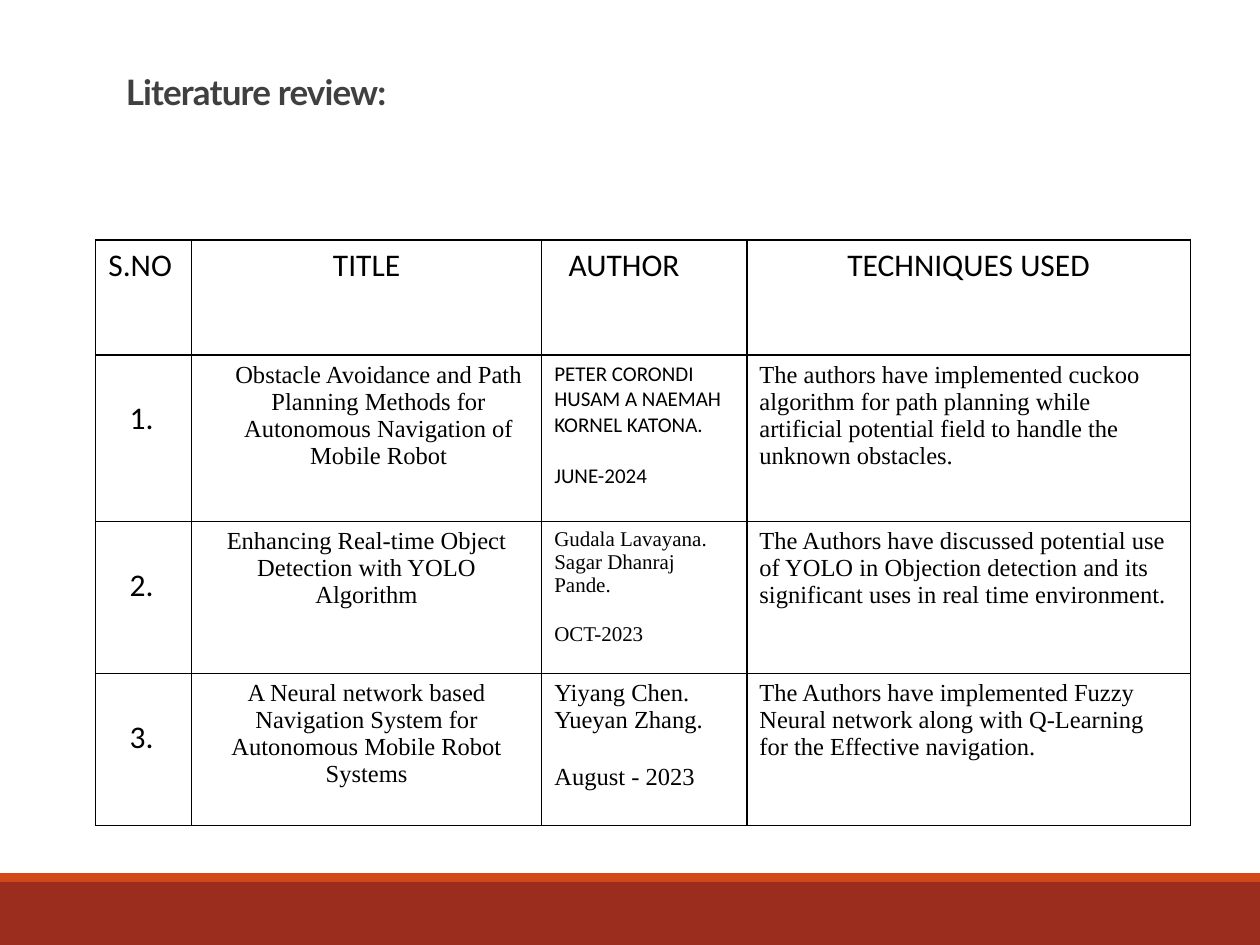
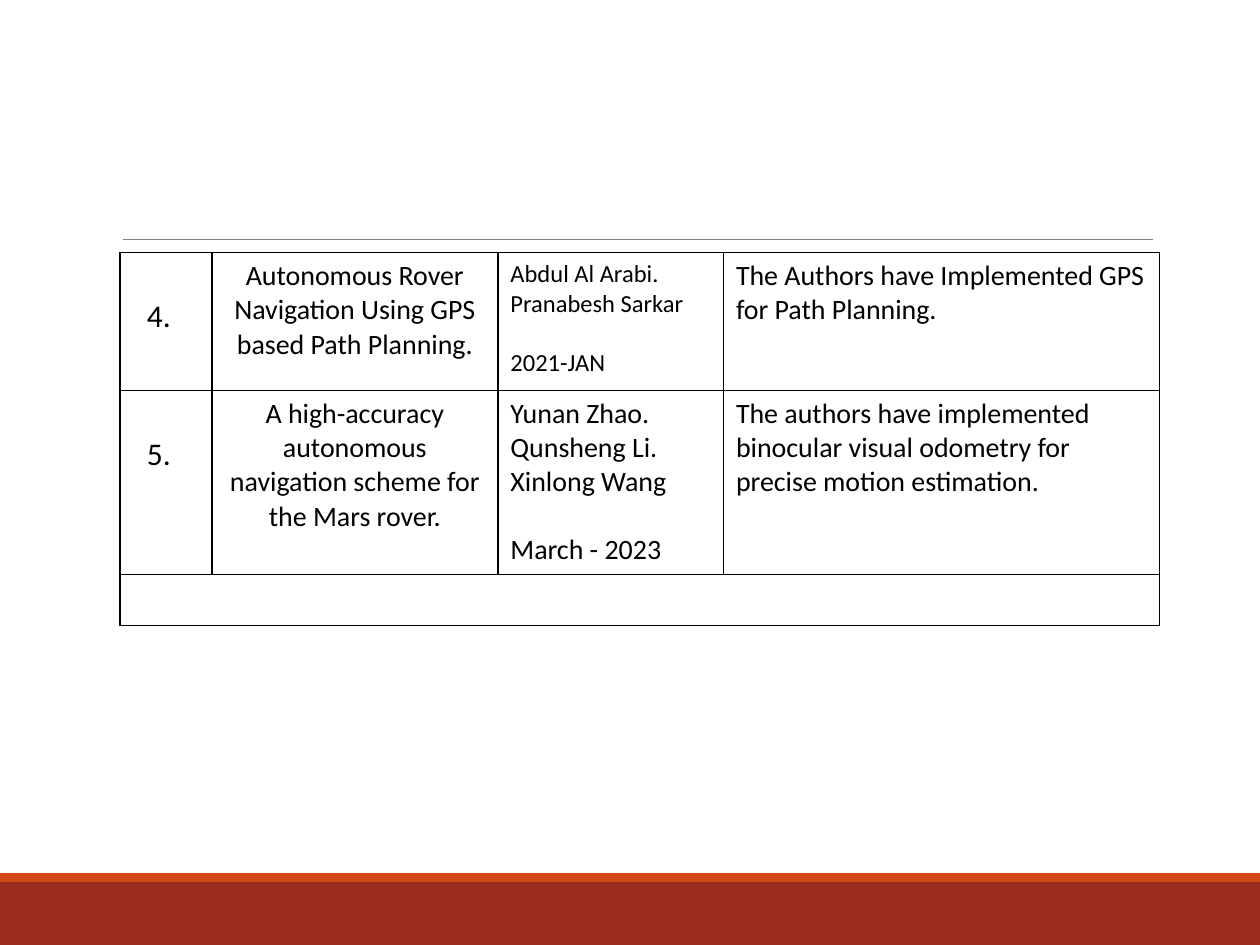
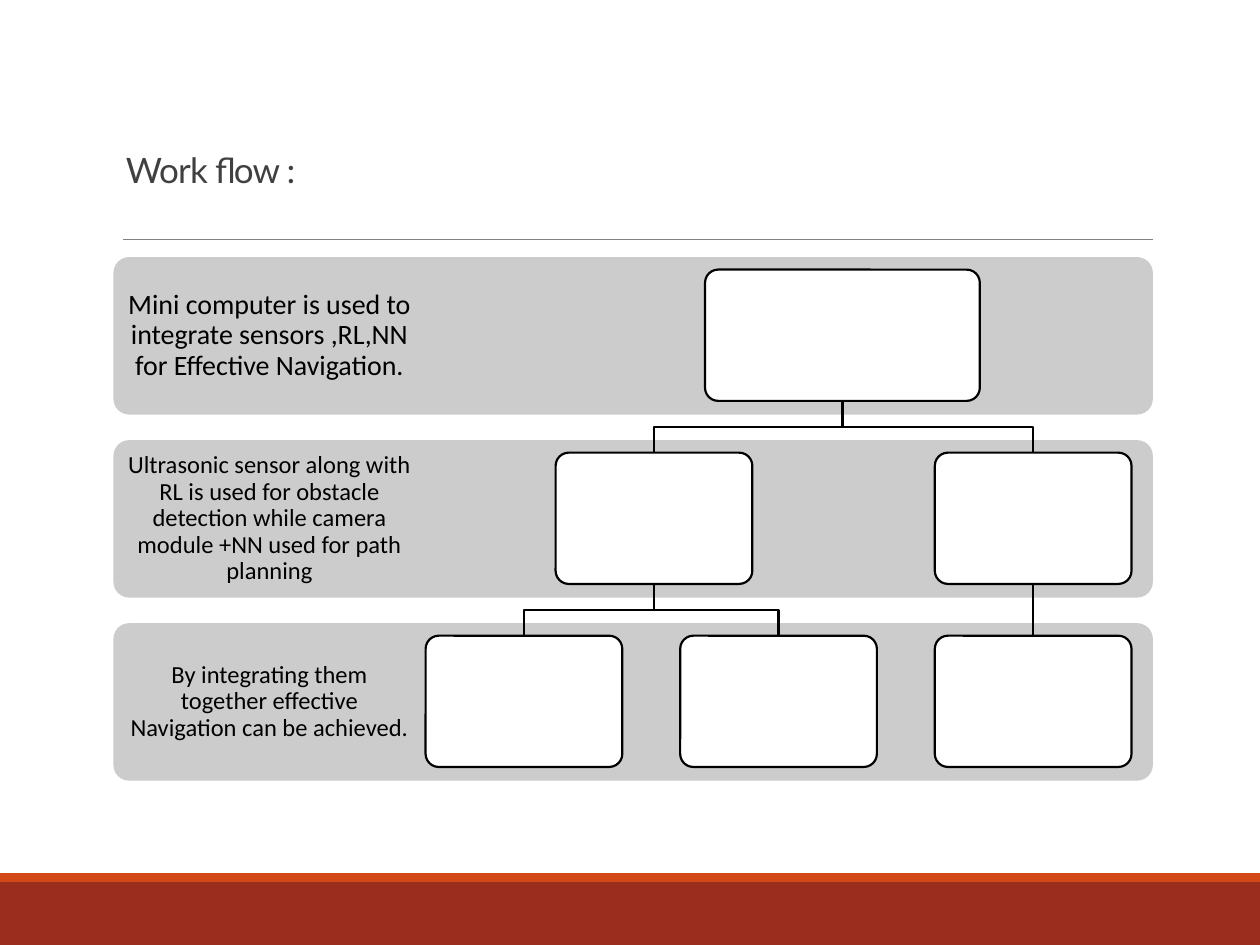
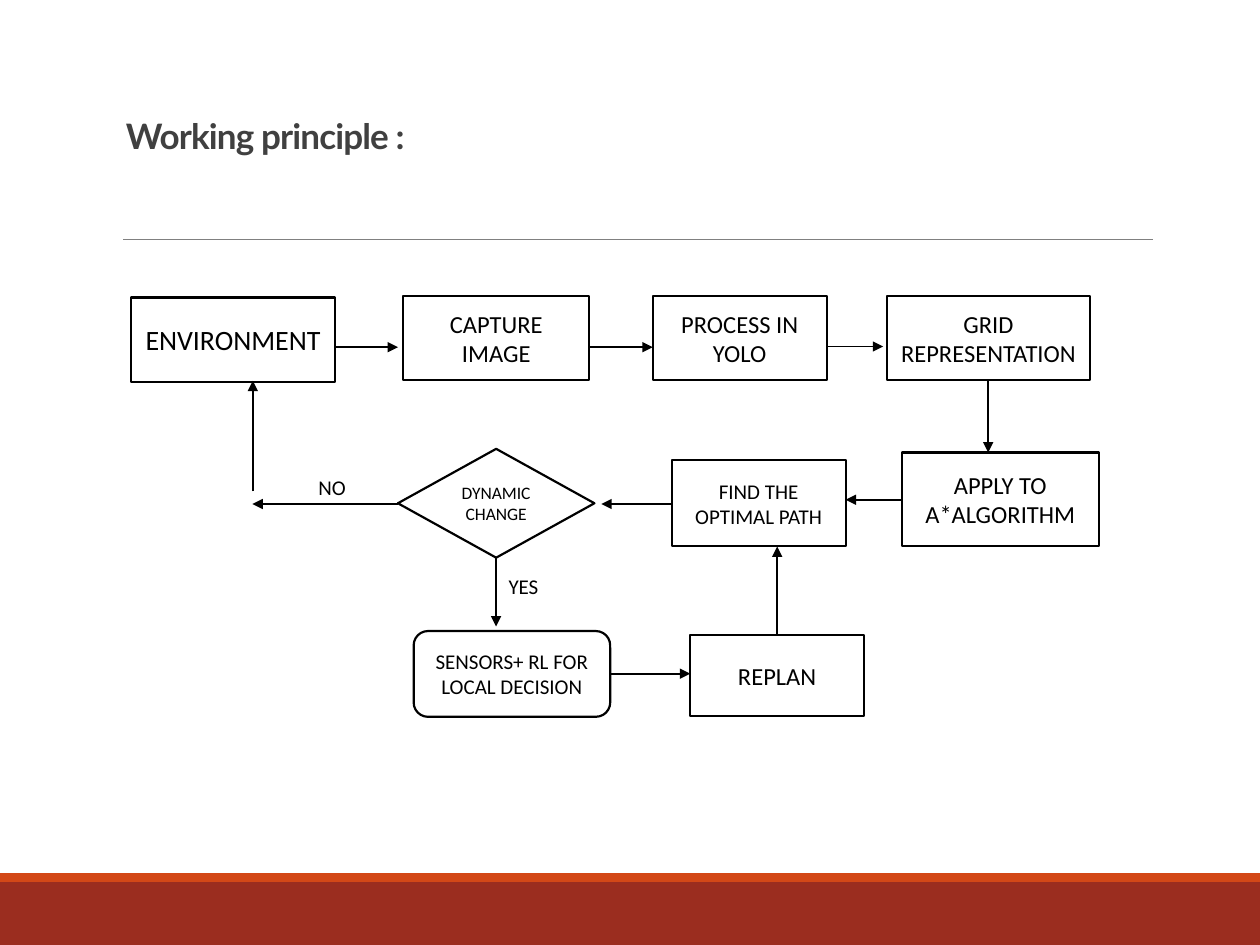
"""Build four slides on autonomous rover navigation: literature, work flow and working principle."""
from dataclasses import dataclass

from lxml import etree
from pptx import Presentation
from pptx.dml.color import RGBColor
from pptx.enum.shapes import MSO_CONNECTOR, MSO_SHAPE
from pptx.enum.text import MSO_ANCHOR, PP_ALIGN
from pptx.oxml.ns import qn
from pptx.table import _Cell
from pptx.util import Pt

LEFT, CENTER = PP_ALIGN.LEFT, PP_ALIGN.CENTER
TOP, MIDDLE, BOTTOM = MSO_ANCHOR.TOP, MSO_ANCHOR.MIDDLE, MSO_ANCHOR.BOTTOM
RECTANGLE, ROUNDED = MSO_SHAPE.RECTANGLE, MSO_SHAPE.ROUNDED_RECTANGLE
PROCESS, DECISION = MSO_SHAPE.FLOWCHART_PROCESS, MSO_SHAPE.FLOWCHART_DECISION
ALTERNATE = MSO_SHAPE.FLOWCHART_ALTERNATE_PROCESS
STRAIGHT = MSO_CONNECTOR.STRAIGHT


@dataclass(frozen=True)
class Theme:
    ink: str = "000000"
    paper: str = "FFFFFF"
    title_ink: str = "404040"
    rule: str = "808080"
    band: str = "9B2D1F"
    accent: str = "D34817"
    lane: str = "CCCCCC"
    body: str = "Calibri"
    heading: str = "Lato"
    serif: str = "Times New Roman"
    title: int = 20
    large: int = 18
    medium: int = 16
    normal: int = 14
    small: int = 12
    tiny: int = 10
    outline: float = 1.25
    arrow: float = 1


THEME = Theme()


def write(holder, lines, *, size, font=THEME.body, color=THEME.ink, bold=False, align=LEFT,
          anchor=TOP, inset=(7.2, 3.6, 7.2, 3.6), leading=None, tracking=None, last_gap=0):
    frame = holder.text_frame
    frame.word_wrap = True
    bounds = holder if isinstance(holder, _Cell) else frame
    bounds.vertical_anchor = anchor
    bounds.margin_left, bounds.margin_top, bounds.margin_right, bounds.margin_bottom = map(Pt, inset)
    for index, line in enumerate(lines):
        paragraph = frame.add_paragraph() if index else frame.paragraphs[0]
        paragraph.alignment = align
        if leading:
            paragraph.line_spacing = leading
        run = paragraph.add_run()
        run.text = line
        run.font.name, run.font.size, run.font.bold = font, Pt(size), bold
        run.font.color.rgb = RGBColor.from_string(color)
        if tracking:
            run.font._element.set("spc", str(tracking))
    if last_gap:
        paragraph.space_before = Pt(last_gap)


def style(shape, *, fill=None, line=None, weight=THEME.outline, arrow=False):
    if fill:
        shape.fill.solid()
        shape.fill.fore_color.rgb = RGBColor.from_string(fill)
    if line:
        shape.line.color.rgb = RGBColor.from_string(line)
        shape.line.width = Pt(weight)
    else:
        shape.line.fill.background()
    properties = shape._element.spPr
    if arrow:
        etree.SubElement(properties.find(qn("a:ln")), qn("a:tailEnd"), type="triangle")
    etree.SubElement(properties, qn("a:effectLst"))


deck = Presentation()
deck.slide_width, deck.slide_height = Pt(720), Pt(540)
blank = deck.slide_layouts[6]

titles = [
    ("Literature review:", 66.2, True, 24),
    (None, 0, False, 0),
    ("Work flow :", 114.5, False, 28),
    ("Working principle :", 70.6, True, 3.6),
]
slides = []
for title, height, bold, bottom_inset in titles:
    slide = deck.slides.add_slide(blank)
    slides.append(slide)
    for top, depth, color in [(504, 36, THEME.band), (499, 5, THEME.accent)]:
        band = slide.shapes.add_shape(RECTANGLE, 0, Pt(top), Pt(720), Pt(depth))
        style(band, fill=color)
    rule = slide.shapes.add_connector(STRAIGHT, Pt(70.5), Pt(136.8), Pt(658.8), Pt(136.8))
    style(rule, line=THEME.rule, weight=0.5)
    if title:
        heading = slide.shapes.add_textbox(Pt(64.8), Pt(22.3), Pt(594), Pt(height))
        write(heading, [title], size=THEME.title, font=THEME.heading, color=THEME.title_ink,
              bold=bold, anchor=BOTTOM, inset=(7.2, 3.6, 7.2, bottom_inset),
              leading=0.85, tracking=-50)

literature, more_literature, workflow, principle = slides

headers = [("S.NO", LEFT, 7.2), ("TITLE", CENTER, 7.2), ("AUTHOR", LEFT, 15.4),
           ("TECHNIQUES USED", CENTER, 7.2)]
early_studies = [
    ("1.", ["Obstacle Avoidance and Path", "Planning Methods for", "Autonomous Navigation of",
            "Mobile Robot"], 21,
     ["PETER CORONDI", "HUSAM A NAEMAH", "KORNEL KATONA.", "JUNE-2024"], THEME.body, THEME.small,
     "The authors have implemented cuckoo algorithm for path planning while artificial "
     "potential field to handle the unknown obstacles."),
    ("2.", ["Enhancing Real-time Object Detection with YOLO Algorithm"], 7.2,
     ["Gudala Lavayana.", "Sagar Dhanraj Pande.", "OCT-2023"], THEME.serif, THEME.small,
     "The Authors have discussed potential use of YOLO in Objection detection and its "
     "significant uses in real time environment."),
    ("3.", ["A Neural network based Navigation System for Autonomous Mobile Robot Systems"], 7.2,
     ["Yiyang Chen.", "Yueyan Zhang.", "August - 2023"], THEME.serif, THEME.normal,
     "The Authors have implemented Fuzzy Neural network along with Q-Learning for the "
     "Effective navigation."),
]
later_studies = [
    ("4.", ["Autonomous Rover Navigation Using GPS based Path Planning."], 7.2,
     ["Abdul Al Arabi.", "Pranabesh Sarkar", "2021-JAN"], THEME.body, THEME.normal,
     "The Authors have Implemented GPS for Path Planning."),
    ("5.", ["A high-accuracy autonomous navigation scheme for the Mars rover."], 7.2,
     ["Yunan Zhao.", "Qunsheng Li.", "Xinlong Wang", "March - 2023"], THEME.body, THEME.medium,
     "The authors have implemented binocular visual odometry for precise motion estimation."),
]
reviews = [
    (literature, 54.7, 137.2, [54.7, 200.2, 117.2, 253.4], [65.7, 95, 87, 87],
     early_studies, 1, THEME.serif, THEME.normal, 19.4),
    (more_literature, 68.5, 144.4, [52.6, 163.4, 128.9, 249.1], [78.8, 105, 29.3],
     later_studies, 0, THEME.body, THEME.medium, 15.4),
]
for slide, left, top, widths, heights, studies, first_row, font, size, number_inset in reviews:
    table = slide.shapes.add_table(len(heights), len(widths), Pt(left), Pt(top),
                                   Pt(sum(widths)), Pt(sum(heights))).table
    table.first_row = table.horz_banding = False
    for column, width in zip(table.columns, widths):
        column.width = Pt(width)
    for row, height in zip(table.rows, heights):
        row.height = Pt(height)
    for cell in table.iter_cells():
        properties = cell._tc.get_or_add_tcPr()
        for side in ("a:lnL", "a:lnR", "a:lnT", "a:lnB"):
            border = etree.SubElement(properties, qn(side), w=str(Pt(1)))
            ink = etree.SubElement(border, qn("a:solidFill"))
            etree.SubElement(ink, qn("a:srgbClr"), val=THEME.ink)
        cell.fill.background()
    if first_row:
        for column, (label, align, inset) in enumerate(headers):
            write(table.cell(0, column), [label], size=THEME.large, align=align,
                  inset=(inset, 3.6, 7.2, 3.6))
    for row, study in enumerate(studies, first_row):
        number, paper, paper_inset, authors, author_font, author_size, technique = study
        write(table.cell(row, 0), [number], size=THEME.large,
              inset=(number_inset, 25.6, 7.2, 3.6))
        write(table.cell(row, 1), paper, size=size, font=font, align=CENTER,
              inset=(paper_inset, 3.6, 7.2, 3.6))
        write(table.cell(row, 2), authors, size=author_size, font=author_font,
              last_gap=1.2 * author_size)
        write(table.cell(row, 3), [technique], size=size, font=font)
    if not first_row:
        table.cell(len(studies), 0).merge(table.cell(len(studies), len(widths) - 1))

lane_top, lane_pitch, lane_height = 146.9, 104.6, 90
node_offset, node_height = 7.2, 75
lanes = [
    ("Mini computer is used to integrate sensors ,RL,NN for Effective Navigation.",
     THEME.medium, 157, [481.4]),
    ("Ultrasonic sensor along with RL is used for obstacle detection while camera module +NN "
     "used for path planning", THEME.normal, 112.4, [373.7, 590.4]),
    ("By integrating them together effective Navigation can be achieved.",
     THEME.normal, 112.4, [299.4, 444.9, 590.4]),
]
for level, (summary, size, node_width, centers) in enumerate(lanes):
    top = lane_top + level * lane_pitch
    lane = workflow.shapes.add_shape(ROUNDED, Pt(64.8), Pt(top), Pt(594), Pt(lane_height))
    lane.adjustments[0] = 0.1
    style(lane, fill=THEME.lane)
    caption = workflow.shapes.add_textbox(Pt(64.8), Pt(top), Pt(178.4), Pt(lane_height))
    write(caption, [summary], size=size, align=CENTER, anchor=MIDDLE, inset=(8,) * 4, leading=0.9)
    for center in centers:
        node = workflow.shapes.add_shape(ROUNDED, Pt(center - node_width / 2),
                                         Pt(top + node_offset), Pt(node_width), Pt(node_height))
        node.adjustments[0] = 0.1
        style(node, fill=THEME.paper, line=THEME.ink)

branches = [(0, 481.4, 373.7), (0, 481.4, 590.4), (1, 373.7, 299.4), (1, 373.7, 444.9),
            (1, 590.4, 590.4)]
for level, parent, child in branches:
    start = lane_top + level * lane_pitch + node_offset + node_height
    end = start + lane_pitch - node_height
    middle = (start + end) / 2
    if parent == child:
        branch = workflow.shapes.add_connector(STRAIGHT, Pt(parent), Pt(start), Pt(child), Pt(end))
    else:
        route = workflow.shapes.build_freeform(Pt(parent), Pt(start))
        route.add_line_segments([(Pt(parent), Pt(middle)), (Pt(child), Pt(middle)),
                                 (Pt(child), Pt(end))], close=False)
        branch = route.convert_to_shape()
        branch.fill.background()
    style(branch, line=THEME.ink)

steps = [
    ("ENVIRONMENT", PROCESS, 74.9, 170, 116.6, 48.2, THEME.medium),
    ("CAPTURE IMAGE", PROCESS, 230.4, 169.2, 106.4, 48.2, THEME.normal),
    ("PROCESS IN YOLO", PROCESS, 373, 169.2, 99.4, 48.2, THEME.normal),
    ("GRID REPRESENTATION", PROCESS, 506.9, 169.2, 115.9, 48.2, THEME.normal),
    ("APPLY TO A*ALGORITHM", PROCESS, 515.5, 258.6, 112.3, 53.5, THEME.normal),
    ("FIND THE OPTIMAL PATH", PROCESS, 383.8, 263, 99.4, 49.2, THEME.small),
    ("DYNAMIC CHANGE", DECISION, 227.4, 256.5, 112.3, 62.2, THEME.tiny),
    ("SENSORS+ RL FOR LOCAL DECISION", ALTERNATE, 236.4, 360.6, 112.3, 49, THEME.small),
    ("REPLAN", PROCESS, 394.4, 362.9, 99.4, 46.2, THEME.normal),
]
for label, outline, left, top, width, height, size in steps:
    step = principle.shapes.add_shape(outline, Pt(left), Pt(top), Pt(width), Pt(height))
    style(step, fill=THEME.paper, line=THEME.ink)
    write(step, [label], size=size, align=CENTER, anchor=MIDDLE)

arrows = [
    (191.5, 198.4, 227.5, 198.4), (336.5, 198.4, 373, 198.4), (472.4, 198, 504.7, 198),
    (564.7, 217.5, 564.7, 258.6), (515.5, 285.6, 483.2, 285.6), (383.8, 288, 343.6, 288),
    (227.4, 288, 144.2, 288), (144.5, 280.8, 144.5, 217.6), (283.5, 318.7, 283.5, 358),
    (348.6, 385, 394.4, 385), (444.1, 362.9, 444.1, 312.3),
]
for points in arrows:
    arrow = principle.shapes.add_connector(STRAIGHT, *map(Pt, points))
    style(arrow, line=THEME.ink, weight=THEME.arrow, arrow=True)

for answer, left, top, width in [("YES", 283.5, 324.2, 46.8), ("NO", 174.8, 267.8, 36)]:
    label = principle.shapes.add_textbox(Pt(left), Pt(top), Pt(width), Pt(21.8))
    write(label, [answer], size=THEME.small)

deck.save("out.pptx")
